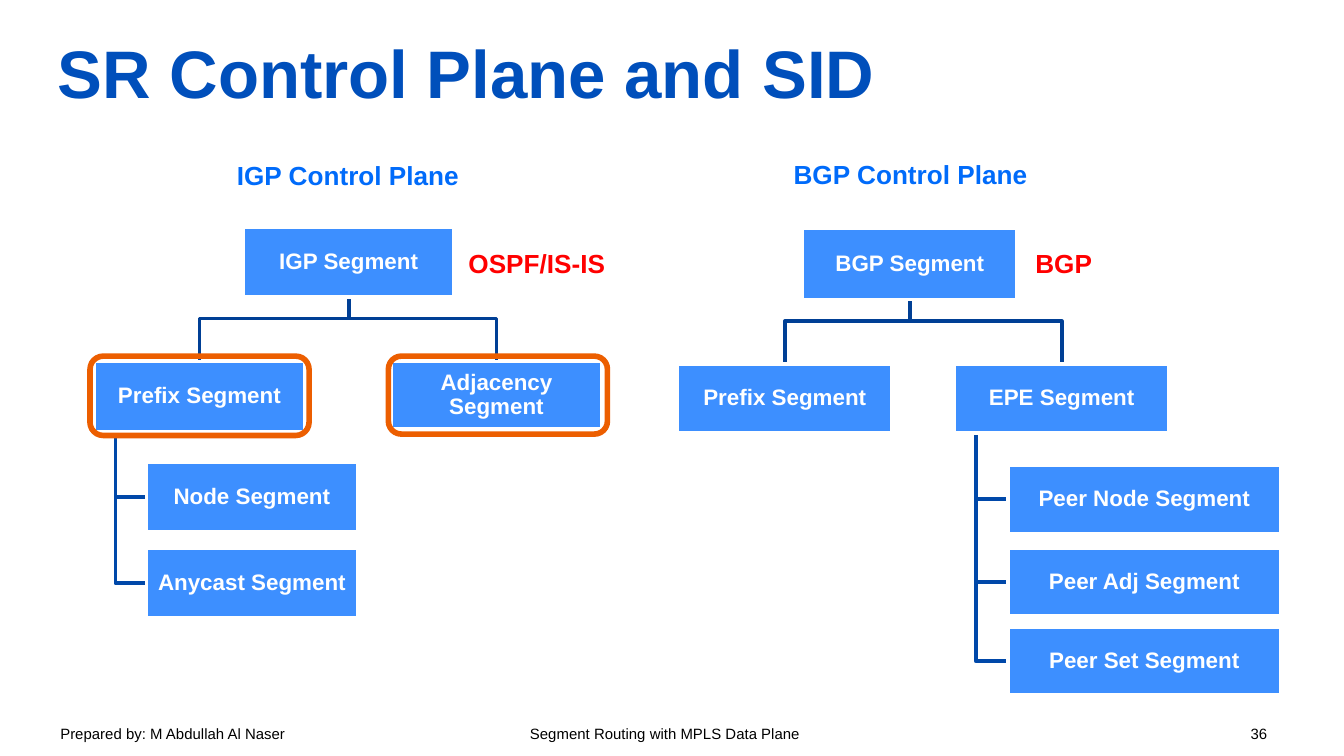
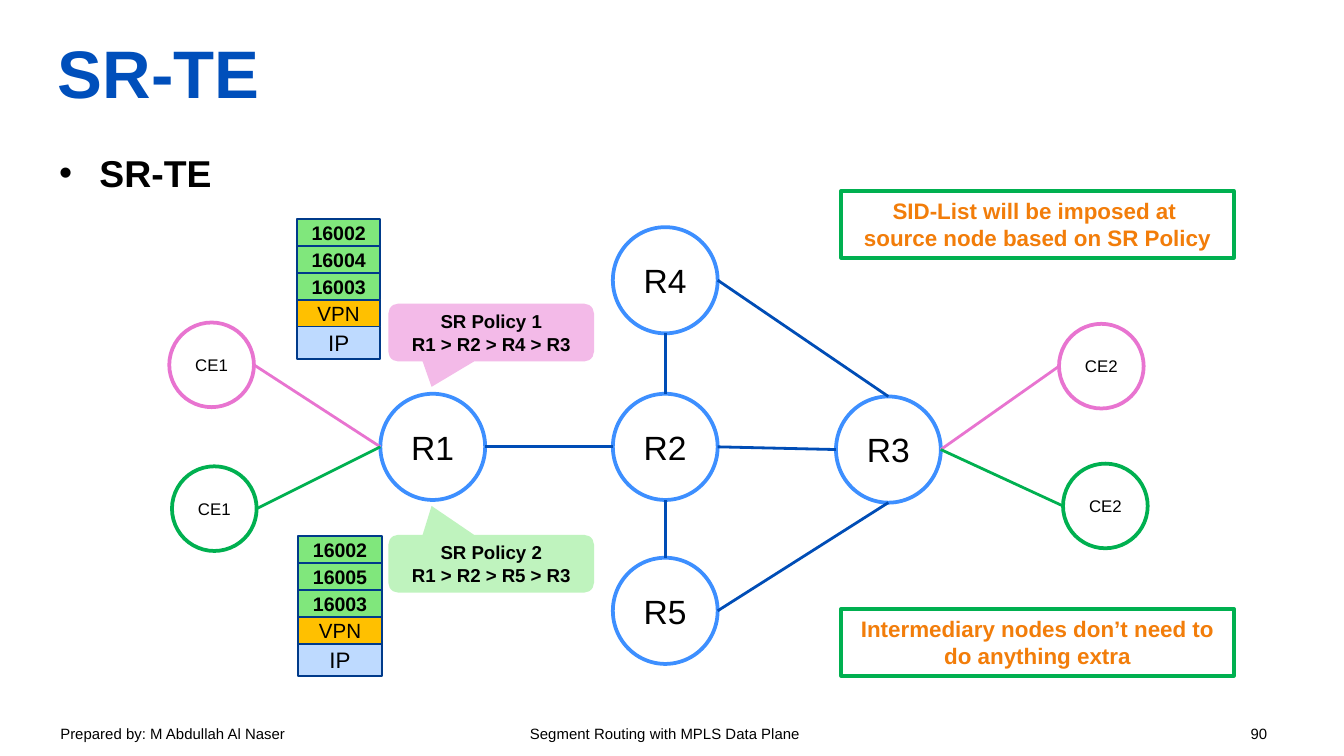
import lxml.etree
import pptx
import pptx.dml.color
import pptx.enum.shapes
import pptx.enum.text
import pptx.oxml.ns
import pptx.util

Inches = pptx.util.Inches
Pt = pptx.util.Pt
qn = pptx.oxml.ns.qn
SHAPE = pptx.enum.shapes.MSO_SHAPE
ALIGN = pptx.enum.text.PP_ALIGN
ANCHOR = pptx.enum.text.MSO_ANCHOR

FONT = "Arial"
BLACK, WHITE, RED = "000000", "FFFFFF", "FF0000"
TITLE_BLUE, HEADING_BLUE, BOX_BLUE = "004FBB", "006BFA", "3D8FFF"
FORK_BLUE, SPINE_BLUE, LINK_BLUE, LABEL_EDGE = "003F95", "0048A9", "004DB6", "003A8A"
PINK, GREEN, ORANGE, FRAME_ORANGE = "E874D0", "00B050", "F27D0A", "EC5E00"
SID_GREEN, VPN_YELLOW, IP_BLUE = "80E77C", "FFC000", "BEDAFF"
FOOTER = "Prepared by: M Abdullah Al Naser\tSegment Routing with MPLS Data Plane\t{}"


def color(hex_code):
    return pptx.dml.color.RGBColor.from_string(hex_code)


def write(shape, text, size=12, ink=BLACK, bold=False, align=ALIGN.CENTER,
          anchor=ANCHOR.MIDDLE, inset=(0.1, 0.05), wrap=True, grow=False,
          spacing=None):
    frame = shape.text_frame
    frame.word_wrap = wrap
    frame.vertical_anchor = anchor
    frame.margin_left = frame.margin_right = Inches(inset[0])
    frame.margin_top = frame.margin_bottom = Inches(inset[1])
    if grow:
        frame.auto_size = pptx.enum.text.MSO_AUTO_SIZE.SHAPE_TO_FIT_TEXT
    for index, line in enumerate(text.split("\n")):
        paragraph = frame.add_paragraph() if index else frame.paragraphs[0]
        paragraph.alignment = align
        if spacing:
            paragraph.line_spacing = spacing
        run = paragraph.add_run()
        run.text = line
        run.font.name = FONT
        run.font.size = Pt(size)
        run.font.bold = bold
        run.font.color.rgb = color(ink)
    return shape


def side(node, name):
    middle_x, middle_y = node.left + node.width // 2, node.top + node.height // 2
    return {
        "top": (middle_x, node.top),
        "left": (node.left, middle_y),
        "bottom": (middle_x, node.top + node.height),
        "right": (node.left + node.width, middle_y),
    }[name]


class Deck:
    """Holds the presentation, its style and the current slide."""

    def __init__(self):
        self.file = pptx.Presentation()
        self.file.slide_width = Inches(10)
        self.file.slide_height = Inches(10) * 9 // 16
        self.slide = None

    def start(self, title, number):
        self.slide = self.file.slides.add_slide(self.file.slide_layouts[6])
        self.footer(number)
        self.text(title, 0.43, 0.06, 9.13, 0.94, size=36, ink=TITLE_BLUE, bold=True,
                  align=ALIGN.LEFT, anchor=ANCHOR.MIDDLE, inset=(0, 0))

    def footer(self, number):
        band = self.text(FOOTER.format(number), 0.35, 5.33, 9.32, 0.25, size=8,
                         align=ALIGN.LEFT, anchor=ANCHOR.MIDDLE)
        properties = band.text_frame.paragraphs[0]._p.get_or_add_pPr()
        stops = lxml.etree.SubElement(properties, qn("a:tabLst"))
        for position, align in ((4.5, "ctr"), (8.98, "r")):
            lxml.etree.SubElement(stops, qn("a:tab"), pos=str(Inches(position)), algn=align)

    def text(self, words, left, top, width, height, **style):
        box = self.slide.shapes.add_textbox(
            Inches(left), Inches(top), Inches(width), Inches(height))
        return write(box, words, **{"anchor": ANCHOR.TOP, **style})

    def heading(self, words, left, top, width, ink):
        self.text(words, left, top, width, 0.34, size=14, ink=ink, bold=True,
                  wrap=False, grow=True)

    def bullet(self, words, left, top, width, height):
        body = self.text(words, left, top, width, height, size=20, bold=True,
                         align=ALIGN.LEFT, inset=(0, 0))
        paragraph = body.text_frame.paragraphs[0]
        paragraph.space_before = Pt(12)
        properties = paragraph._p.get_or_add_pPr()
        properties.set("marL", str(Inches(0.3)))
        properties.set("indent", str(-Inches(0.3)))
        lxml.etree.SubElement(properties, qn("a:buFont"), typeface=FONT)
        lxml.etree.SubElement(properties, qn("a:buChar"), char="•")

    def paint(self, shape, fill, edge, weight):
        shape.shadow.inherit = False
        if fill:
            shape.fill.solid()
            shape.fill.fore_color.rgb = color(fill)
        else:
            shape.fill.background()
        if edge:
            shape.line.color.rgb = color(edge)
            shape.line.width = Pt(weight)
        else:
            shape.line.fill.background()
        return shape

    def shape(self, kind, left, top, width, height, fill=None, edge=None, weight=2):
        shape = self.slide.shapes.add_shape(
            kind, Inches(left), Inches(top), Inches(width), Inches(height))
        return self.paint(shape, fill, edge, weight)

    def elbow(self, points, edge):
        start, *rest = [(Inches(x), Inches(y)) for x, y in points]
        outline = self.slide.shapes.build_freeform(*start)
        outline.add_line_segments(rest, close=False)
        self.paint(outline.convert_to_shape(), None, edge, 2)

    def segment(self, words, left, top, width, height):
        box = self.shape(SHAPE.RECTANGLE, left, top, width, height, BOX_BLUE, WHITE)
        write(box, words, ink=WHITE, bold=True, inset=(0.01, 0.01), spacing=0.9)

    def tree(self, root, branches, parent, leaves):
        _, left, top, width, height = root
        root_x, root_bottom = left + width / 2, top + height
        bend = root_bottom + 0.16
        for _, left, top, width, _ in branches:
            branch_x = left + width / 2
            self.elbow([(root_x, root_bottom), (root_x, bend),
                        (branch_x, bend), (branch_x, top)], FORK_BLUE)
        _, left, top, _, height = parent
        spine, spine_top = left + 0.16, top + height
        for _, left, top, _, height in leaves:
            middle = top + height / 2
            self.elbow([(spine, spine_top), (spine, middle), (left, middle)], SPINE_BLUE)
        for segment in (root, *branches, *leaves):
            self.segment(*segment)

    def node(self, words, left, top, width, height, edge, size):
        circle = self.shape(SHAPE.OVAL, left, top, width, height, edge=edge)
        return write(circle, words, size=size, inset=(0, 0))

    def link(self, start, end, edge):
        link = self.slide.shapes.add_connector(
            pptx.enum.shapes.MSO_CONNECTOR.STRAIGHT, *start, *end)
        link.line.color.rgb = color(edge)
        link.line.width = Pt(1.5)
        lxml.etree.SubElement(link._element.spPr, qn("a:effectLst"))

    def note(self, words, top):
        box = self.shape(SHAPE.RECTANGLE, 6.26, top, 2.92, 0.5, edge=GREEN)
        write(box, words, ink=ORANGE, bold=True, anchor=ANCHOR.TOP, grow=True)

    def policy(self, words, top, fill, tip):
        callout = self.shape(SHAPE.ROUNDED_RECTANGULAR_CALLOUT, 2.89, top, 1.53, 0.43, fill)
        for index, value in enumerate((*tip, 0.17)):
            callout.adjustments[index] = value
        write(callout, words, size=10, bold=True)

    def label_stack(self, sids, left, top):
        labels = [(sid, SID_GREEN, 10.5, 0.2) for sid in sids]
        labels += [("VPN", VPN_YELLOW, 11, 0.2), ("IP", IP_BLUE, 12, 0.24)]
        for words, fill, size, height in labels:
            label = self.shape(SHAPE.RECTANGLE, left, top, 0.62, height, fill, LABEL_EDGE, 1)
            write(label, words, size=size, bold=words in sids, inset=(0, 0))
            top += height


def control_plane(deck):
    deck.start("SR Control Plane and SID", 36)
    igp_prefix = ("Prefix Segment", 0.7, 2.69, 1.57, 0.52)
    adjacency = ("Adjacency Segment", 2.91, 2.69, 1.57, 0.5)
    deck.tree(
        ("IGP Segment", 1.81, 1.69, 1.57, 0.52), [igp_prefix, adjacency], igp_prefix,
        [("Node Segment", 1.09, 3.44, 1.57, 0.52),
         ("Anycast Segment", 1.09, 4.08, 1.57, 0.52)])
    epe = ("EPE Segment", 7.1, 2.71, 1.6, 0.51)
    deck.tree(
        ("BGP Segment", 5.97, 1.7, 1.6, 0.53),
        [("Prefix Segment", 5.04, 2.71, 1.6, 0.51), epe], epe,
        [("Peer Node Segment", 7.5, 3.46, 2.03, 0.51),
         ("Peer Adj Segment", 7.5, 4.08, 2.03, 0.5),
         ("Peer Set Segment", 7.5, 4.67, 2.03, 0.5)])
    for left, height in ((0.67, 0.59), (2.89, 0.58)):
        deck.shape(SHAPE.ROUNDED_RECTANGLE, left, 2.65, 1.63, height,
                   edge=FRAME_ORANGE, weight=3)
    deck.heading("IGP Control Plane", 1.66, 1.14, 1.86, HEADING_BLUE)
    deck.heading("BGP Control Plane", 5.8, 1.13, 1.95, HEADING_BLUE)
    deck.heading("OSPF/IS-IS", 3.38, 1.79, 1.23, RED)
    deck.heading("BGP", 7.6, 1.79, 0.63, RED)


def traffic_engineering(deck):
    deck.start("SR-TE", 90)
    deck.bullet("SR-TE", 0.44, 1.12, 9.13, 4.13)
    routers = {
        name: deck.node(name, left, top, 0.78, 0.79, BOX_BLUE, 18)
        for name, left, top in (
            ("R2", 4.56, 2.93), ("R1", 2.83, 2.93), ("R3", 6.22, 2.95),
            ("R4", 4.56, 1.69), ("R5", 4.56, 4.15))
    }
    for start, start_side, end, end_side in (
        ("R2", "top", "R4", "bottom"), ("R5", "right", "R3", "bottom"),
        ("R5", "top", "R2", "bottom"), ("R4", "right", "R3", "top"),
        ("R2", "right", "R3", "left"), ("R1", "right", "R2", "left"),
    ):
        deck.link(side(routers[start], start_side), side(routers[end], end_side), LINK_BLUE)
    for name, left, top, edge, edge_side, router, router_side in (
        ("CE1", 1.26, 2.4, PINK, "right", "R1", "left"),
        ("CE2", 7.88, 2.41, PINK, "left", "R3", "right"),
        ("CE1", 1.28, 3.47, GREEN, "right", "R1", "left"),
        ("CE2", 7.91, 3.45, GREEN, "left", "R3", "right"),
    ):
        customer = deck.node(name, left, top, 0.63, 0.63, edge, 9)
        deck.link(side(customer, edge_side), side(routers[router], router_side), edge)
    deck.note("SID-List will be imposed at \nsource node based on SR Policy", 1.42)
    deck.policy("SR Policy 1\nR1 > R2 > R4 > R3", 2.26, "F3BAE8", (-0.29, 0.94))
    deck.policy("SR Policy 2\nR1 > R2 > R5 > R3", 3.98, "BFF3BE", (-0.29, -1))
    deck.label_stack(("16002", "16005", "16003"), 2.22, 3.99)
    deck.label_stack(("16002", "16004", "16003"), 2.21, 1.63)
    deck.note("Intermediary nodes don’t need to do anything extra", 4.53)


def main():
    deck = Deck()
    control_plane(deck)
    traffic_engineering(deck)
    deck.file.save("out.pptx")


if __name__ == "__main__":
    main()
